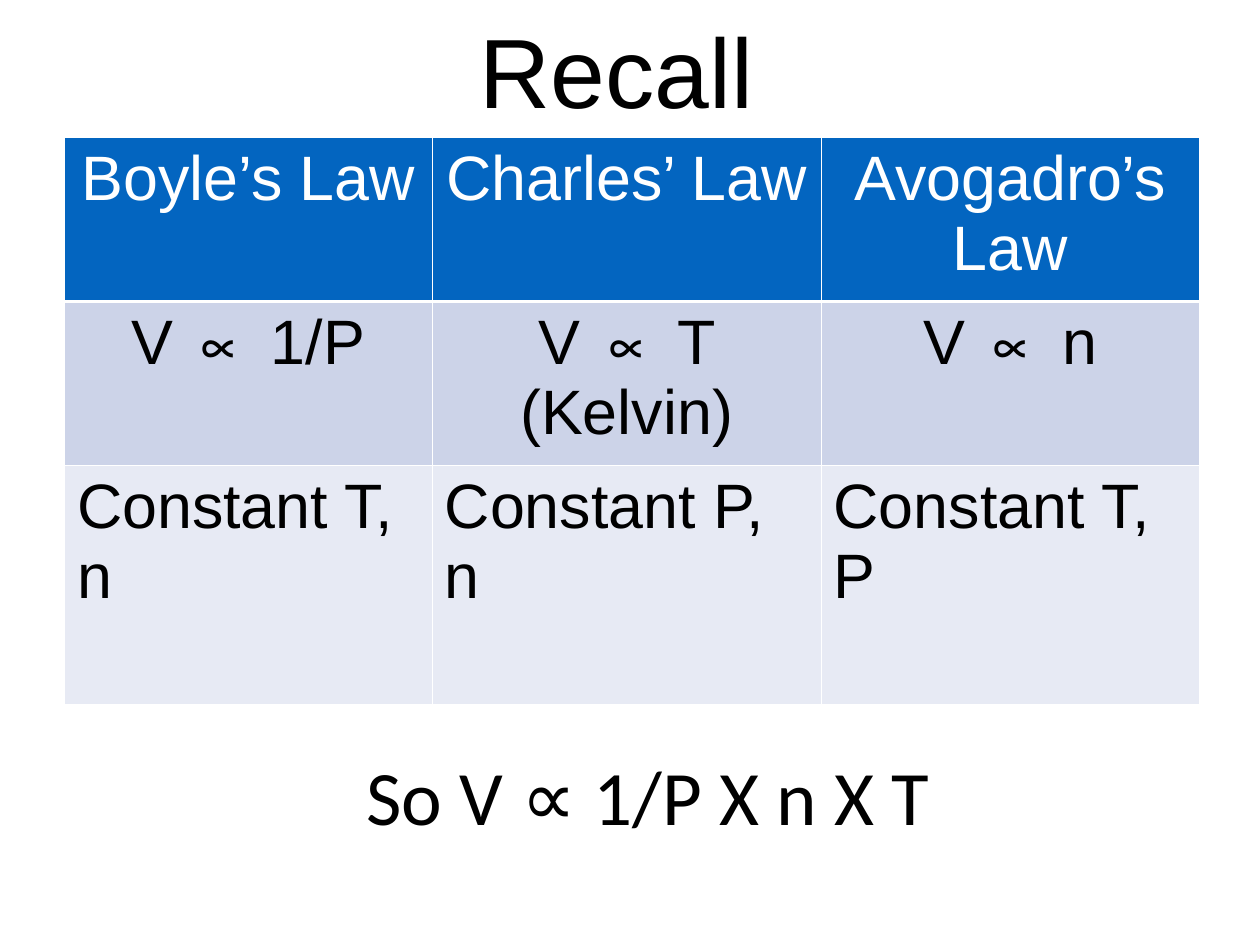
import pptx
import pptx.dml.color
import pptx.enum.text
import pptx.oxml.ns
import pptx.util
from lxml import etree
from pptx.util import Cm

RGBColor = pptx.dml.color.RGBColor
ALIGN = pptx.enum.text.PP_ALIGN
BLACK = RGBColor(0x00, 0x00, 0x00)
WHITE = RGBColor(0xFF, 0xFF, 0xFF)
HEADER_BLUE = RGBColor(0x03, 0x65, 0xC0)
BAND_DARK = RGBColor(0xCC, 0xD3, 0xE8)
BAND_LIGHT = RGBColor(0xE7, 0xEA, 0xF4)


def write(frame, text, size, font, color, align):
    frame.text = text
    para = frame.paragraphs[0]
    para.alignment = align
    span = para.runs[0]
    span.font.size = pptx.util.Pt(size)
    span.font.name = font
    span.font.color.rgb = color


def add_borders(cell, bottom_width):
    """Draw white 1 pt borders, with the bottom one at its own width."""
    properties = cell._tc.get_or_add_tcPr()
    qn = pptx.oxml.ns.qn
    for side, width in (("L", 1), ("R", 1), ("T", 1), ("B", bottom_width)):
        line = etree.SubElement(properties, qn(f"a:ln{side}"), w=str(pptx.util.Pt(width)))
        fill = etree.SubElement(line, qn("a:solidFill"))
        etree.SubElement(fill, qn("a:srgbClr"), val=str(WHITE))


deck = pptx.Presentation()
deck.slide_width = Cm(36.12)
deck.slide_height = Cm(27.1)
page = deck.slides.add_slide(deck.slide_layouts[6])

# Title
title = page.shapes.add_textbox(Cm(2.26), Cm(0.53), Cm(30.84), Cm(2.92)).text_frame
title.word_wrap = True
title.vertical_anchor = pptx.enum.text.MSO_ANCHOR.MIDDLE
title.margin_left = title.margin_right = title.margin_top = title.margin_bottom = 0
write(title, "Recall", 80, "Arial", BLACK, ALIGN.CENTER)

# Gas laws: texts, fill, font colour, alignment, row height, bottom border
law_rows = [
    (("Boyle’s Law", "Charles’ Law", "Avogadro’s Law"),
     HEADER_BLUE, WHITE, ALIGN.CENTER, 4.7, 3),
    (("V ∝ 1/P", "V ∝ T (Kelvin)", "V ∝ n"),
     BAND_DARK, BLACK, ALIGN.CENTER, 4.7, 1),
    (("Constant T, n", "Constant P, n", "Constant T, P"),
     BAND_LIGHT, BLACK, ALIGN.LEFT, 6.86, 1),
]
laws = page.shapes.add_table(3, 3, Cm(1.85), Cm(3.94), Cm(32.54), Cm(16.26)).table
for column, width in zip(laws.columns, (10.54, 11.15, 10.85)):
    column.width = Cm(width)
for row, (texts, fill, color, align, height, bottom_width) in zip(laws.rows, law_rows):
    row.height = Cm(height)
    for cell, text in zip(row.cells, texts):
        cell.margin_left = cell.margin_right = Cm(0.36)
        cell.margin_top = cell.margin_bottom = Cm(0.18)
        write(cell.text_frame, text, 51, "Arial", color, align)
        add_borders(cell, bottom_width)
        cell.fill.solid()
        cell.fill.fore_color.rgb = fill

# Combined law
combined = page.shapes.add_textbox(Cm(10.26), Cm(21.34), Cm(16.81), Cm(2.92)).text_frame
combined.word_wrap = False
combined.auto_size = pptx.enum.text.MSO_AUTO_SIZE.SHAPE_TO_FIT_TEXT
write(combined, "So V ∝ 1/P X n X T", 62.6, "Calibri", BLACK, ALIGN.LEFT)

deck.save("out.pptx")
